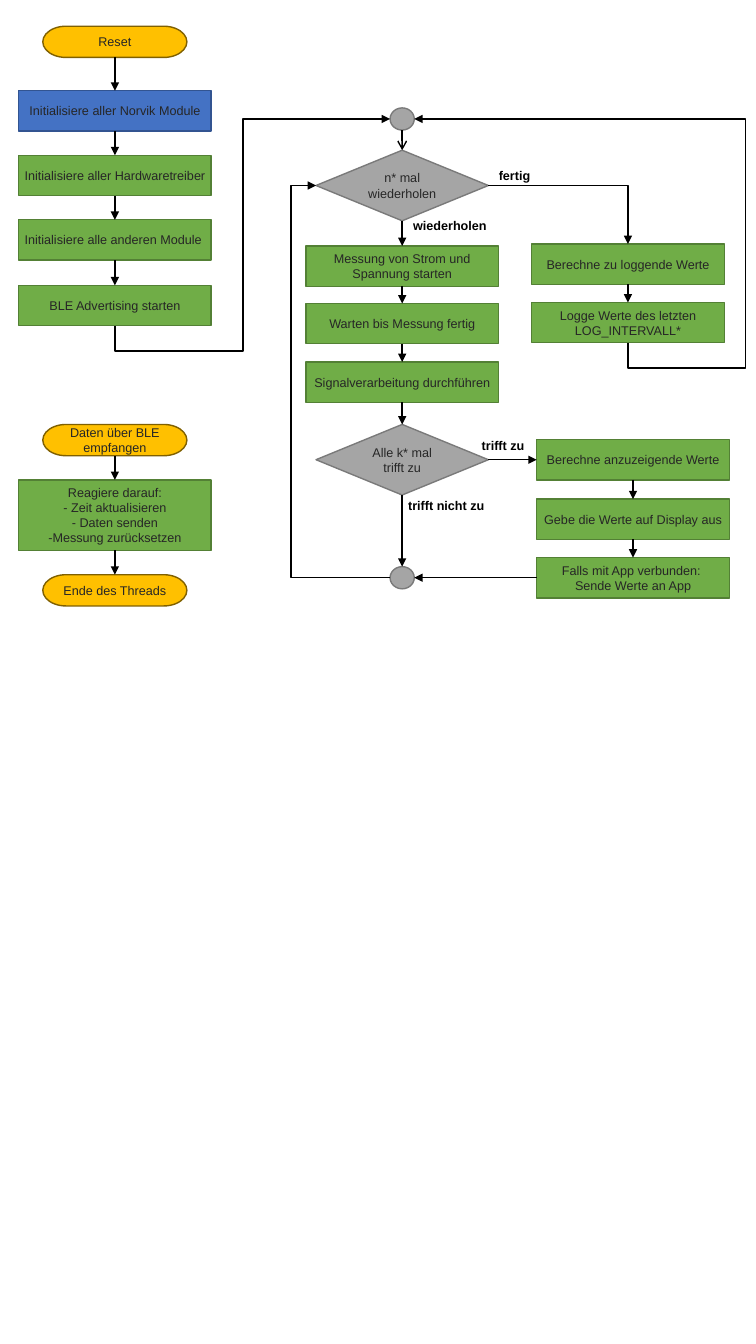
"""Build a flowchart slide for a BLE measuring device."""
from lxml import etree
from pptx import Presentation
from pptx.dml.color import RGBColor
from pptx.enum.shapes import MSO_CONNECTOR, MSO_SHAPE
from pptx.enum.text import MSO_ANCHOR, MSO_AUTO_SIZE, PP_ALIGN
from pptx.oxml.ns import qn
from pptx.util import Inches, Pt

TOP, LEFT, BOTTOM, RIGHT = range(4)
KINDS = {
    "terminal": (MSO_SHAPE.FLOWCHART_TERMINATOR, "FFC000", "806000", 1.43, 0.31),
    "module": (MSO_SHAPE.FLOWCHART_PROCESS, "4472C4", "325491", 1.91, 0.4),
    "process": (MSO_SHAPE.FLOWCHART_PROCESS, "70AD47", "538035", 1.91, 0.4),
    "reaction": (MSO_SHAPE.FLOWCHART_PROCESS, "70AD47", "538035", 1.91, 0.7),
    "decision": (MSO_SHAPE.FLOWCHART_DECISION, "A5A5A5", "7A7A7A", 1.71, 0.7),
    "junction": (MSO_SHAPE.FLOWCHART_CONNECTOR, "A5A5A5", "7A7A7A", 0.24, 0.22),
}
START_X, LOOP_X, LOG_X, DISPLAY_X = 1.14, 3.99, 6.23, 6.28
STEPS = [
    ("reset", "terminal", START_X, 0.26, "Reset"),
    ("radio", "module", START_X, 0.9, "Initialisiere aller Norvik Module"),
    ("drivers", "process", START_X, 1.54, "Initialisiere aller Hardwaretreiber"),
    ("modules", "process", START_X, 2.18, "Initialisiere alle anderen Module "),
    ("advertise", "process", START_X, 2.83, "BLE Advertising starten"),
    ("receive", "terminal", START_X, 4.21, "Daten über BLE empfangen"),
    ("react", "reaction", START_X, 4.76,
     "Reagiere darauf:\v- Zeit aktualisieren\v- Daten senden\v-Messung zurücksetzen"),
    ("end", "terminal", START_X, 5.7, "Ende des Threads"),
    ("loop_start", "junction", LOOP_X, 1.07, ""),
    ("repeat", "decision", LOOP_X, 1.49, "n* mal wiederholen"),
    ("measure", "process", LOOP_X, 2.44, "Messung von Strom und Spannung starten"),
    ("wait", "process", LOOP_X, 3.01, "Warten bis Messung fertig"),
    ("signal", "process", LOOP_X, 3.59, "Signalverarbeitung durchführen"),
    ("every_k", "decision", LOOP_X, 4.21, "Alle k* mal trifft zu"),
    ("loop_end", "junction", LOOP_X, 5.62, ""),
    ("log_values", "process", LOG_X, 2.42, "Berechne zu loggende Werte"),
    ("log", "process", LOG_X, 3, "Logge Werte des letzten LOG_INTERVALL*"),
    ("display_values", "process", DISPLAY_X, 4.36, "Berechne anzuzeigende Werte"),
    ("display", "process", DISPLAY_X, 4.95, "Gebe die Werte auf Display aus"),
    ("send", "process", DISPLAY_X, 5.53, "Falls mit App verbunden: \vSende Werte an App"),
]
CHAINS = [
    ("reset", "radio", "drivers", "modules", "advertise"),
    ("receive", "react", "end"),
    ("loop_start", "repeat", "measure", "wait", "signal", "every_k", "loop_end"),
    ("log_values", "log"),
    ("display_values", "display", "send"),
]
LABELS = [
    ("fertig", 4.85, 1.62, 1.29),
    ("wiederholen", 4, 2.11, 1.48),
    ("trifft zu", 4.68, 4.29, 1.29),
    ("trifft nicht zu", 3.95, 4.89, 1.29),
]
BENDS = [
    ("advertise", BOTTOM, "loop_start", LEFT, "bentConnector4", (-12300, 46500), 270, {}),
    ("log", BOTTOM, "loop_start", RIGHT, "bentConnector4", (-11300, -55000), 90, {"flipH": "1"}),
    ("repeat", RIGHT, "log_values", TOP, "bentConnector2", (), 0, {}),
    ("loop_end", LEFT, "repeat", LEFT, "bentConnector3", (134000,), 180, {}),
]


def style_text(frame, text, color, bold=False):
    frame.word_wrap = True
    paragraph = frame.paragraphs[0]
    paragraph.text = text
    for run in paragraph.runs:
        run.font.name, run.font.size, run.font.bold = "Arial", Pt(9), bold
        run.font.color.rgb = RGBColor.from_string(color)
    return paragraph


def connect(source, source_side, target, target_side, head="triangle", route=MSO_CONNECTOR.STRAIGHT):
    arrow = slide.shapes.add_connector(route, 0, 0, 0, 0)
    arrow.begin_connect(shapes[source], source_side)
    arrow.end_connect(shapes[target], target_side)
    for tag, name, side in (("stCxn", source, source_side), ("endCxn", target, target_side)):
        if name in ("loop_start", "loop_end"):
            next(arrow.element.iter(qn(f"a:{tag}"))).set("idx", str(2 * side))
    arrow.line.width = Pt(1)
    arrow.line.color.rgb = RGBColor.from_string("000000")
    properties = arrow.element.spPr
    etree.SubElement(properties.find(qn("a:ln")), qn("a:tailEnd"), type=head)
    etree.SubElement(properties, qn("a:effectLst"))
    return arrow


prs = Presentation()
prs.slide_width, prs.slide_height = Inches(7.5), Inches(13.33)
slide = prs.slides.add_slide(prs.slide_layouts[6])

shapes = {}
for name, kind, center, top, text in STEPS:
    preset, fill, outline, width, height = KINDS[kind]
    shape = slide.shapes.add_shape(
        preset, Inches(center - width / 2), Inches(top), Inches(width), Inches(height))
    shape.shadow.inherit = False
    shape.fill.solid()
    shape.fill.fore_color.rgb = RGBColor.from_string(fill)
    shape.line.color.rgb = RGBColor.from_string(outline)
    shape.line.width = Pt(1)
    frame = shape.text_frame
    frame.margin_left = frame.margin_right = Inches(0.05)
    frame.margin_top = frame.margin_bottom = Inches(0.03)
    frame.vertical_anchor = MSO_ANCHOR.MIDDLE
    if text:
        style_text(frame, text, "262626").alignment = PP_ALIGN.CENTER
    shapes[name] = shape

for chain in CHAINS:
    for source, target in zip(chain, chain[1:]):
        connect(source, BOTTOM, target, TOP, "arrow" if source == "loop_start" else "triangle")
connect("every_k", RIGHT, "display_values", LEFT)
connect("send", LEFT, "loop_end", RIGHT)

for source, source_side, target, target_side, preset, adjustments, rotation, flips in BENDS:
    arrow = connect(source, source_side, target, target_side, route=MSO_CONNECTOR.ELBOW)
    transform = arrow.element.spPr.find(qn("a:xfrm"))
    for flip in ("flipH", "flipV"):
        transform.attrib.pop(flip, None)
    transform.attrib.update(flips)
    transform.set("rot", str(rotation * 60000))
    if rotation in (90, 270):
        width, height = arrow.width, arrow.height
        arrow.left += (width - height) // 2
        arrow.top += (height - width) // 2
        arrow.width, arrow.height = height, width
    geometry = arrow.element.spPr.find(qn("a:prstGeom"))
    geometry.set("prst", preset)
    guides = geometry.find(qn("a:avLst"))
    for number, value in enumerate(adjustments, 1):
        etree.SubElement(guides, qn("a:gd"), name=f"adj{number}", fmla=f"val {value}")

for text, left, top, width in LABELS:
    label = slide.shapes.add_textbox(Inches(left), Inches(top), Inches(width), Inches(0.25))
    style_text(label.text_frame, text, "000000", bold=True)
    label.text_frame.auto_size = MSO_AUTO_SIZE.SHAPE_TO_FIT_TEXT

prs.save("out.pptx")
